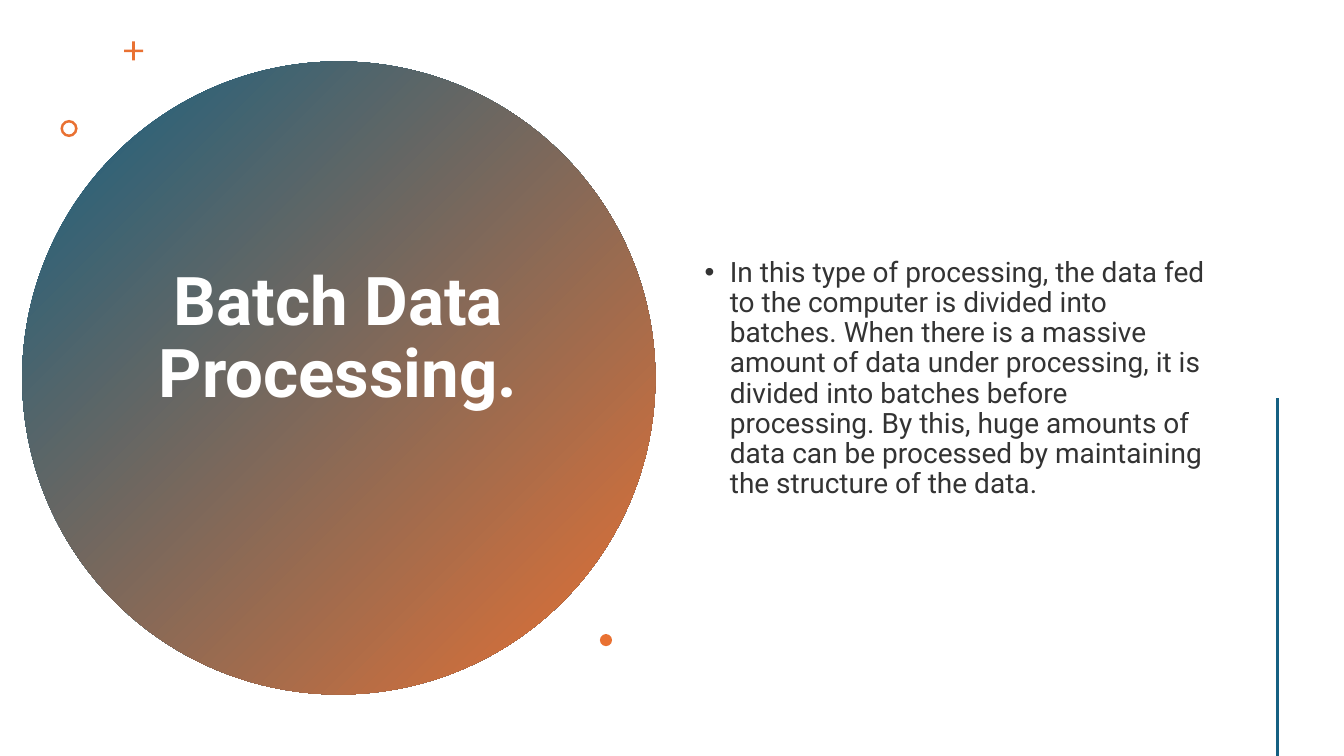
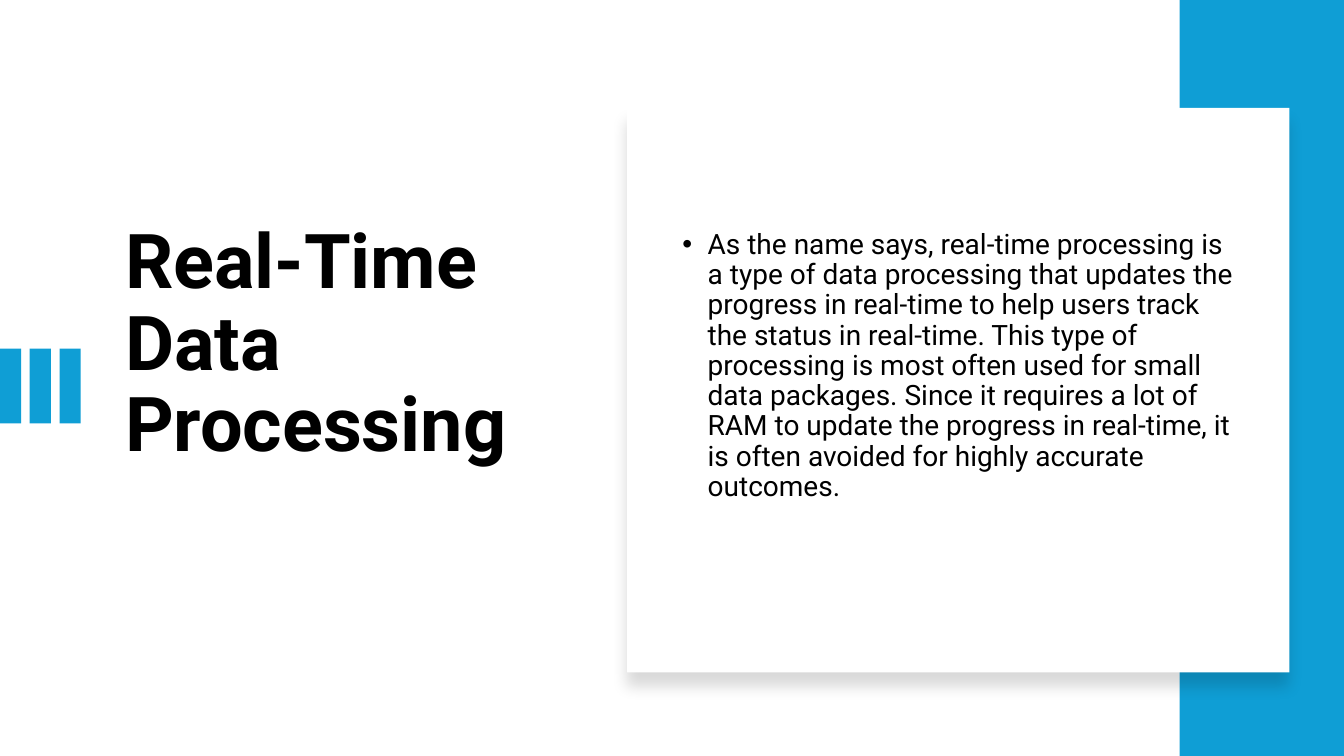
"""Build two slides on batch and real-time data processing."""
from dataclasses import dataclass

from lxml import etree
from pptx import Presentation
from pptx import util as u
from pptx.dml.color import RGBColor
from pptx.enum import shapes, text
from pptx.oxml import ns

FONT = "Roboto"
COLORS = {
    "teal": "156082",
    "orange": "E97132",
    "blue": "0F9ED5",
    "white": "FFFFFF",
    "black": "000000",
}
SHAPE = shapes.MSO_SHAPE


@dataclass(frozen=True)
class Box:
    left: float
    top: float
    width: float
    height: float

    def lengths(self) -> list:
        return [u.Inches(v) for v in (self.left, self.top, self.width, self.height)]


@dataclass(frozen=True)
class Block:
    text: str
    box: Box
    size: int
    color: str = "black"
    bold: bool = False
    align: text.PP_ALIGN = text.PP_ALIGN.LEFT
    lift: float = 0.05
    opacity: int = 100


@dataclass(frozen=True)
class Figure:
    kind: shapes.MSO_SHAPE
    box: Box
    color: str
    adjust: float | None = None


def rgb(name: str) -> RGBColor:
    return RGBColor.from_string(COLORS[name])


def add_child(parent, tag: str, **attrs):
    child = etree.SubElement(parent, ns.qn(tag))
    for key, value in attrs.items():
        child.set(key, str(value))
    return child


def draw_figure(owner, figure: Figure):
    sp = owner.add_shape(figure.kind, *figure.box.lengths())
    sp.shadow.inherit = False
    sp.fill.solid()
    sp.fill.fore_color.rgb = rgb(figure.color)
    sp.line.fill.background()
    if figure.adjust is not None:
        sp.adjustments[0] = figure.adjust
    return sp


def fill_block(sp, block: Block):
    sp.left, sp.top, sp.width, sp.height = block.box.lengths()
    tf = sp.text_frame
    tf.text = block.text
    tf.word_wrap = True
    tf.auto_size = text.MSO_AUTO_SIZE.NONE
    tf.vertical_anchor = text.MSO_ANCHOR.MIDDLE
    tf.margin_left = tf.margin_right = u.Inches(0.1)
    tf.margin_top, tf.margin_bottom = u.Inches(0.05), u.Inches(block.lift)
    p = tf.paragraphs[0]
    p.alignment = block.align
    p.line_spacing = 0.9
    r = p.runs[0]
    r.font.name = FONT
    r.font.size = u.Pt(block.size)
    r.font.bold = block.bold
    r.font.color.rgb = rgb(block.color)
    if block.opacity < 100:
        for color in sp.element.iter(ns.qn("a:srgbClr")):
            add_child(color, "a:alpha", val=block.opacity * 1000)
    return p


def draw_title(s, block: Block) -> None:
    sp = s.shapes.title
    fill_block(sp, block)
    s.shapes.element.append(sp.element)


def draw_body(s, block: Block) -> None:
    p = fill_block(s.shapes.add_textbox(*block.box.lengths()), block)
    p.space_before = u.Pt(10)
    props = p._p.get_or_add_pPr()
    indent = u.Inches(0.25)
    props.set("marL", str(indent))
    props.set("indent", str(-indent))
    add_child(props, "a:buFont", typeface="Arial")
    add_child(props, "a:buChar", char="•")


def draw_line(s, x: float, top: float, bottom: float, color: str) -> None:
    line = s.shapes.add_connector(
        shapes.MSO_CONNECTOR.STRAIGHT,
        u.Inches(x), u.Inches(top), u.Inches(x), u.Inches(bottom),
    )
    line.line.color.rgb = rgb(color)
    line.line.width = u.Pt(2)
    add_child(line.element.spPr, "a:effectLst")


def add_soft_shadow(sp) -> None:
    effects = sp.element.spPr.find(ns.qn("a:effectLst"))
    shadow = add_child(
        effects, "a:outerShdw",
        blurRad=u.Pt(11), dist=u.Pt(10), dir=90 * 60000, algn="t", rotWithShape=0,
    )
    color = add_child(shadow, "a:srgbClr", val=COLORS["black"])
    add_child(color, "a:alpha", val=15000)


def build_batch(s) -> None:
    circle = draw_figure(s.shapes, Figure(SHAPE.OVAL, Box(0.22, 0.61, 6.28, 6.28), "teal"))
    circle.fill.gradient()
    circle.fill.gradient_angle = 315
    for stop, name in zip(circle.fill.gradient_stops, ("teal", "orange")):
        stop.color.rgb = rgb(name)
    draw_title(s, Block(
        "Batch Data Processing.", Box(1.36, 1.41, 3.99, 4.67), 48, "white",
        bold=True, align=text.PP_ALIGN.CENTER, lift=0.8,
    ))
    for accent in (
        Figure(SHAPE.CROSS, Box(1.23, 0.41, 0.19, 0.19), "orange", 0.43),
        Figure(SHAPE.DONUT, Box(0.6, 1.19, 0.17, 0.17), "orange", 0.15),
        Figure(SHAPE.OVAL, Box(5.95, 6.29, 0.12, 0.12), "orange"),
    ):
        draw_figure(s.shapes, accent)
    draw_body(s, Block(
        "In this type of processing, the data fed to the computer is divided into "
        "batches. When there is a massive amount of data under processing, it is "
        "divided into batches before processing. By this, huge amounts of data can "
        "be processed by maintaining the structure of the data.",
        Box(6.89, 0.57, 5.22, 6.38), 20, opacity=80,
    ))
    draw_line(s, 12.67, 3.95, 7.5, "teal")


def build_real_time(s) -> None:
    draw_title(s, Block(
        "Real-Time Data Processing", Box(1.14, 1.46, 4.26, 4.79), 54,
        bold=True, lift=0.9,
    ))
    bars = s.shapes.add_group_shape()
    pitch = 0.59 / 2
    for i in range(3):
        draw_figure(bars.shapes, Figure(SHAPE.RECTANGLE, Box(i * pitch, 3.46, 0.21, 0.74), "blue"))
    draw_figure(s.shapes, Figure(SHAPE.RECTANGLE, Box(11.7, 0, 1.63, 7.5), "blue"))
    card = draw_figure(s.shapes, Figure(SHAPE.RECTANGLE, Box(6.22, 1.07, 6.57, 5.6), "white"))
    add_soft_shadow(card)
    draw_body(s, Block(
        "As the name says, real-time processing is a type of data processing that "
        "updates the progress in real-time to help users track the status in "
        "real-time. This type of processing is most often used for small data "
        "packages. Since it requires a lot of RAM to update the progress in "
        "real-time, it is often avoided for highly accurate outcomes.",
        Box(6.67, 1.46, 5.75, 4.79), 20, lift=0.49,
    ))


def main() -> None:
    prs = Presentation()
    prs.slide_width, prs.slide_height = u.Inches(13.33), u.Inches(7.5)
    title_only = prs.slide_layouts[5]
    for build in (build_batch, build_real_time):
        build(prs.slides.add_slide(title_only))
    prs.save("out.pptx")


if __name__ == "__main__":
    main()
